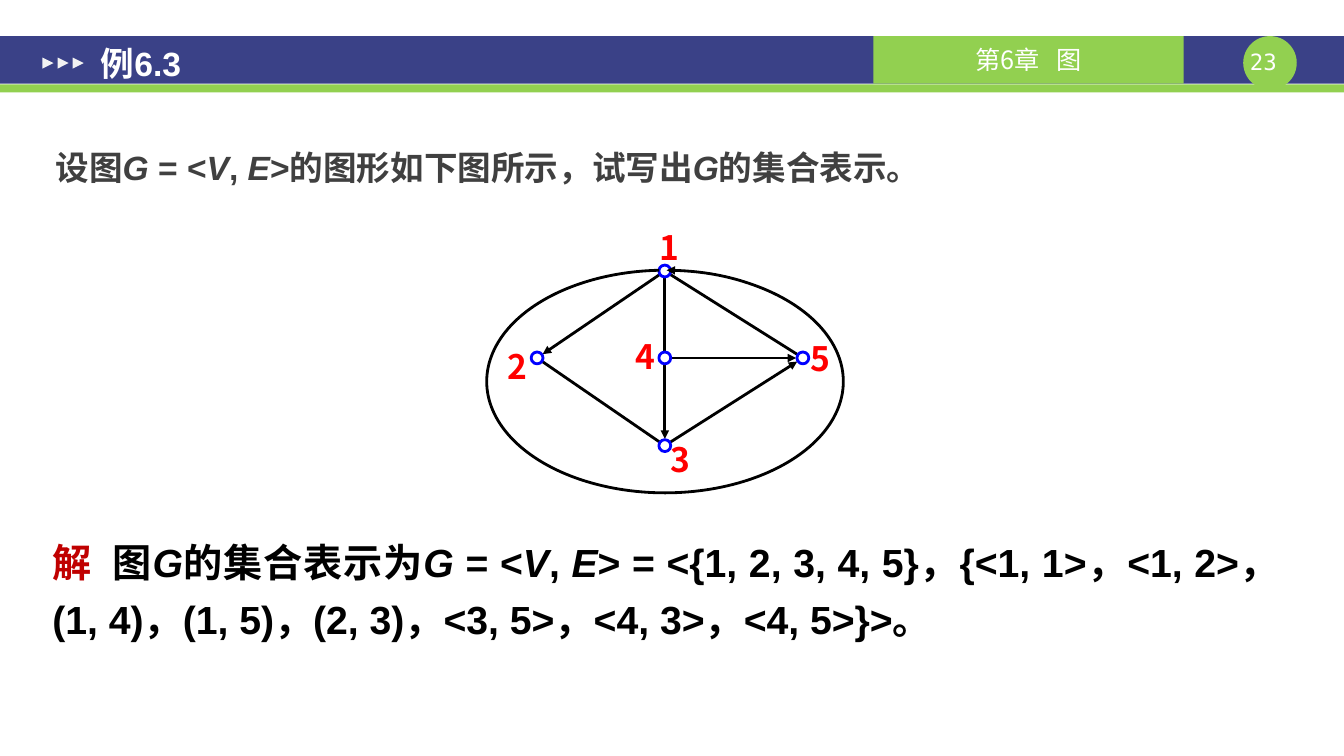
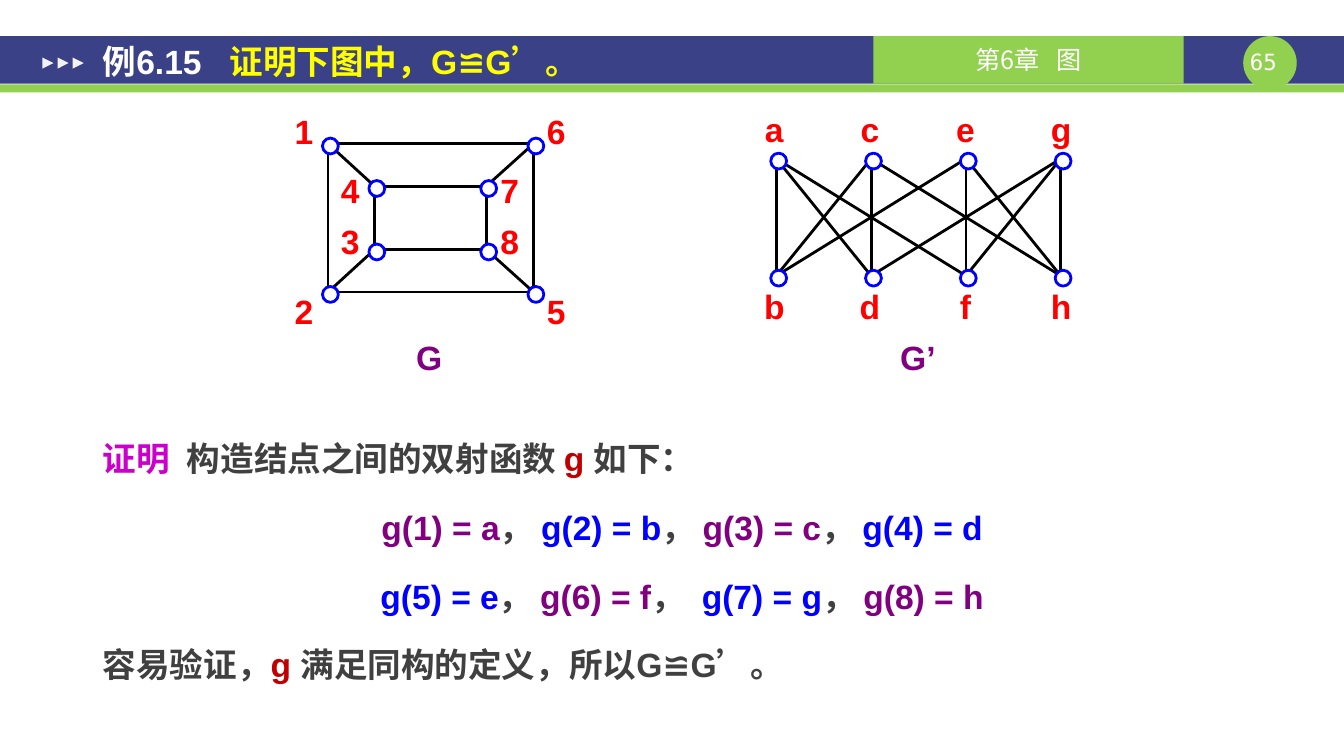
from math import hypot

from lxml import etree
from pptx import Presentation
from pptx.dml.color import RGBColor
from pptx.enum.shapes import MSO_CONNECTOR, MSO_SHAPE as SHAPE
from pptx.enum.text import MSO_ANCHOR as ANCHOR, MSO_AUTO_SIZE, PP_ALIGN as ALIGN
from pptx.oxml.ns import qn
from pptx.util import Cm, Pt

COLORS = {
    "navy": "3A4187", "green": "92D050", "white": "FFFFFF", "pale": "F2F2F2",
    "black": "000000", "gray": "404040", "red": "FF0000", "dark_red": "C00000",
    "blue": "0000FF", "purple": "800080", "magenta": "CC00CC", "yellow": "FFFF00",
}
LATIN, CJK, MONO = "Arial", "Noto Sans CJK SC", "DejaVu Sans Mono"
WIDTH, HEIGHT = 33.88, 19.05
BAND_TOP, BAND_H = 0.91, 1.2


def rgb(name):
    return RGBColor.from_string(COLORS[name])


def add_arrow(line_shape, end):
    """Put a triangle on the headEnd or tailEnd of a line."""
    ln = line_shape.line._get_or_add_ln()
    etree.SubElement(ln, qn(f"a:{end}"), type="triangle")


class Deck:
    def __init__(self):
        self.prs = Presentation()
        self.prs.slide_width, self.prs.slide_height = Cm(WIDTH), Cm(HEIGHT)
        self.s = None

    def new_slide(self, number, title, box):
        """Start a slide with its bands, chapter tag, page number and title."""
        self.s = self.prs.slides.add_slide(self.prs.slide_layouts[5])
        self.shape(SHAPE.RECTANGLE, 0, BAND_TOP, WIDTH, BAND_H, "navy")
        self.shape(SHAPE.RECTANGLE, 0, 2.13, WIDTH, 0.2, "green")
        self.shape(SHAPE.OVAL, 31.34, BAND_TOP, 1.35, 1.35, "green")
        self.text(31.34, 1.22, 1.02, 0.69, [[number]], inset=(0, 0), size=16,
                  font=MONO, bold=False, color="white", align=ALIGN.CENTER)
        tag = self.shape(SHAPE.RECTANGLE, 22.02, BAND_TOP, 7.82, BAND_H, "green")
        self.frame(tag.text_frame, [["第6章", (" ", None, None, 8), "图"]],
                   inset=(0.25, 0.05), anchor=ANCHOR.MIDDLE, size=18, font=CJK,
                   bold=False, color="white", align=ALIGN.CENTER)
        for i in range(3):
            sp = self.shape(SHAPE.ISOSCELES_TRIANGLE, 1.07 + 0.38 * i, 1.45,
                            0.28, 0.28, "pale")
            sp.rotation = 90
        # The title lies in front of the bands
        sp = self.s.shapes.title
        sp.element.getparent().append(sp.element)
        sp.left, sp.top, sp.width, sp.height = map(Cm, box)
        self.frame(sp.text_frame, [title], anchor=ANCHOR.MIDDLE, color="white")

    def shape(self, kind, x, y, w, h, fill=None, line=None):
        sp = self.s.shapes.add_shape(kind, Cm(x), Cm(y), Cm(w), Cm(h))
        sp.shadow.inherit = False
        if fill:
            sp.fill.solid()
            sp.fill.fore_color.rgb = rgb(fill)
        else:
            sp.fill.background()
        if line:
            sp.line.color.rgb = rgb(line)
            sp.line.width = Pt(2)
        else:
            sp.line.fill.background()
        return sp

    def text(self, x, y, w, h, paragraphs, **style):
        sp = self.s.shapes.add_textbox(Cm(x), Cm(y), Cm(w), Cm(h))
        self.frame(sp.text_frame, paragraphs, **style)

    def frame(self, tf, paragraphs, inset=(0.33, 0.18), anchor=ANCHOR.TOP,
              wrap=True, before=0, **style):
        tf.auto_size = MSO_AUTO_SIZE.NONE
        tf.word_wrap = wrap
        tf.vertical_anchor = anchor
        tf.margin_left = tf.margin_right = Cm(inset[0])
        tf.margin_top = tf.margin_bottom = Cm(inset[1])
        for i, runs in enumerate(paragraphs):
            p = tf.add_paragraph() if i else tf.paragraphs[0]
            p.space_before = Pt(before if i else 0)
            look = dict(style)
            if isinstance(runs, dict):
                look.update(runs["style"])
                runs = runs["runs"]
            self.paragraph(p, runs, **look)

    def paragraph(self, p, runs, size=24, font=LATIN, bold=True, color="gray",
                  align=ALIGN.LEFT, spacing=1.0):
        """A run is text or (text, colour, font, gap); _x_ sets x in italics."""
        p.alignment, p.line_spacing = align, spacing
        p.font.size, p.font.bold, p.font.name = Pt(size), bold, font
        p.font.color.rgb = rgb(color)
        latin = p._p.pPr.find(qn("a:defRPr")).find(qn("a:latin"))
        latin.addnext(latin.makeelement(qn("a:ea"), typeface=CJK))
        for run in runs:
            run = (run,) if isinstance(run, str) else run
            words, tint, face, gap = (*run, None, None, None)[:4]
            for i, part in enumerate(words.split("_")):
                if not part:
                    continue
                r = p.add_run()
                r.text = part
                if i % 2:
                    r.font.italic = True
                if tint:
                    r.font.color.rgb = rgb(tint)
                if face:
                    r.font.name = face
                if gap:
                    r._r.get_or_add_rPr().set("spc", str(round(gap * 100)))

    def label(self, words, x, y, color="red", font=LATIN):
        """A single line of text centred on x, with its top at y."""
        self.text(x - 0.9, y, 1.8, 1.3, [[words]], inset=(0, 0), wrap=False,
                  font=font, color=color, align=ALIGN.CENTER)

    def node(self, x, y, d):
        self.shape(SHAPE.OVAL, x - d / 2, y - d / 2, d, d, "white", "blue")

    def edge(self, a, b, trim=0.0, shift=0.0, arrow=False):
        """A line between two centres, cut by trim at both ends."""
        (x1, y1), (x2, y2) = a, b
        length = hypot(x2 - x1, y2 - y1)
        dx, dy = (x2 - x1) * trim / length, (y2 - y1) * trim / length
        ends = (x1 + dx, y1 + dy, x2 - dx, y2 - dy)
        c = self.s.shapes.add_connector(MSO_CONNECTOR.STRAIGHT,
                                        *(Cm(v + shift) for v in ends))
        c.line.color.rgb = rgb("black")
        c.line.width = Pt(2)
        if arrow:
            add_arrow(c, "tailEnd")
        etree.SubElement(c._element.spPr, qn("a:effectLst"))

    def graph(self, nodes, edges, d, arrows="", **style):
        """Edges are pairs of node names; nodes lie over the edges."""
        for a, b in edges.split():
            self.edge(nodes[a], nodes[b], **style)
        for a, b in arrows.split():
            self.edge(nodes[a], nodes[b], arrow=True, **style)
        for x, y in nodes.values():
            self.node(x, y, d)


def set_example(deck):
    deck.new_slide("23", ["例6.3"], (2.21, 0.3, 22.4, 2.57))
    deck.text(1.07, 3.53, 31.55, 3.1,
              [["设图_G_ = <_V_, _E_>的图形如下图所示，试写出_G_的集合表示。"]])

    # Mixed graph
    nodes = {"1": (16.76, 6.83), "2": (13.54, 9.02), "3": (16.76, 11.23),
             "4": (16.76, 9.02), "5": (20.24, 9.02)}
    deck.graph(nodes, "14 15 23", 0.3, arrows="12 43 45 35", trim=0.17)
    labels = {"1": (16.87, 5.72), "2": (13.05, 8.71), "3": (17.15, 11.05),
              "4": (16.26, 8.46), "5": (20.68, 8.51)}
    for name, (x, y) in labels.items():
        deck.label(name, x, y, font=CJK)

    # Loop at node 1; arc angles are in degrees times 0.6
    loop = deck.shape(SHAPE.ARC, 12.27, 6.81, 8.99, 5.61, line="black")
    loop.adjustments[0], loop.adjustments[1] = 270.8 * 0.6, 267 * 0.6
    add_arrow(loop, "headEnd")

    # Answer
    deck.text(1.07, 13.21, 31.42, 3.12, [[
        ("解", "dark_red"), (" ", None, None, 7.8),
        "图_G_的集合表示为_G_ = <_V_, _E_> = <{1, 2, 3, 4, 5}，{<1, 1>，<1, 2>，"
        "(1, 4)，(1, 5)，(2, 3)，<3, 5>，<4, 3>，<4, 5>}>。",
    ]], inset=(0.25, 0.13), size=28, color="black", align=ALIGN.JUSTIFY, spacing=1.2)


def isomorphism_example(deck):
    deck.new_slide("65", [
        "例6.15", (" ", None, None, 13.3), ("证明下图中，G≌G", "yellow"),
        ("’", "yellow", CJK), ("。", "yellow"),
    ], (2.26, 0.43, 26.09, 2.21))

    # Nested squares G
    left, right, top, bottom = 8.33, 13.51, 3.68, 7.42
    in_left, in_right, in_top, in_bottom = 9.5, 12.32, 4.75, 6.35
    squares = {"1": (left, top), "2": (left, bottom),
               "5": (right, bottom), "6": (right, top),
               "4": (in_left, in_top), "3": (in_left, in_bottom),
               "8": (in_right, in_bottom), "7": (in_right, in_top)}
    deck.graph(squares, "12 25 56 61 43 38 87 74 14 23 58 67", 0.4, shift=-0.06)
    for names, x, y in (("16", 7.66, 2.79), ("25", 7.66, 7.34),
                        ("47", 8.83, 4.27), ("38", 8.83, 5.56)):
        deck.label(names[0], x, y)
        deck.label(names[1], 21.68 - x, y)

    # Two rows G’
    rows = {}
    for names, y, label_y in (("aceg", 4.06, 2.74), ("bdfh", 7.01, 7.21)):
        for i, name in enumerate(names):
            rows[name] = (19.63 + 2.39 * i, y)
            deck.label(name, 19.52 + 2.41 * i, label_y)
    deck.graph(rows, "ab ad af cb cd ch eb ef eh gd gf gh", 0.4, shift=-0.06)

    deck.label("G", 10.82, 8.48, "purple")
    deck.label("G’", 23.14, 8.48, "purple")

    # Proof: each row of the mapping alternates its two colours
    def mapping(pairs, colors, wide_gap_after=None):
        runs = []
        for i, (number, letter) in enumerate(pairs):
            if i:
                gap = 6.7 if i == wide_gap_after else None
                runs += ["，", (" ", None, None, gap)]
            runs.append((f"g({number}) = {letter}", colors[i % 2]))
        return {"runs": runs, "style": {"align": ALIGN.CENTER}}

    deck.text(2.26, 10.34, 29.87, 7.24, [
        [("证明", "magenta"), (" ", None, None, 6.7), "构造结点之间的双射函数 ",
         ("g ", "dark_red"), "如下："],
        mapping(("1a", "2b", "3c", "4d"), ("purple", "blue")),
        mapping(("5e", "6f", "7g", "8h"), ("blue", "purple"), wide_gap_after=2),
        ["容易验证，", ("g ", "dark_red"), "满足同构的定义，所以G≌G",
         ("’", None, CJK), "。"],
    ], spacing=1.5, before=6)


def main():
    deck = Deck()
    set_example(deck)
    isomorphism_example(deck)
    deck.prs.save("out.pptx")


if __name__ == "__main__":
    main()
